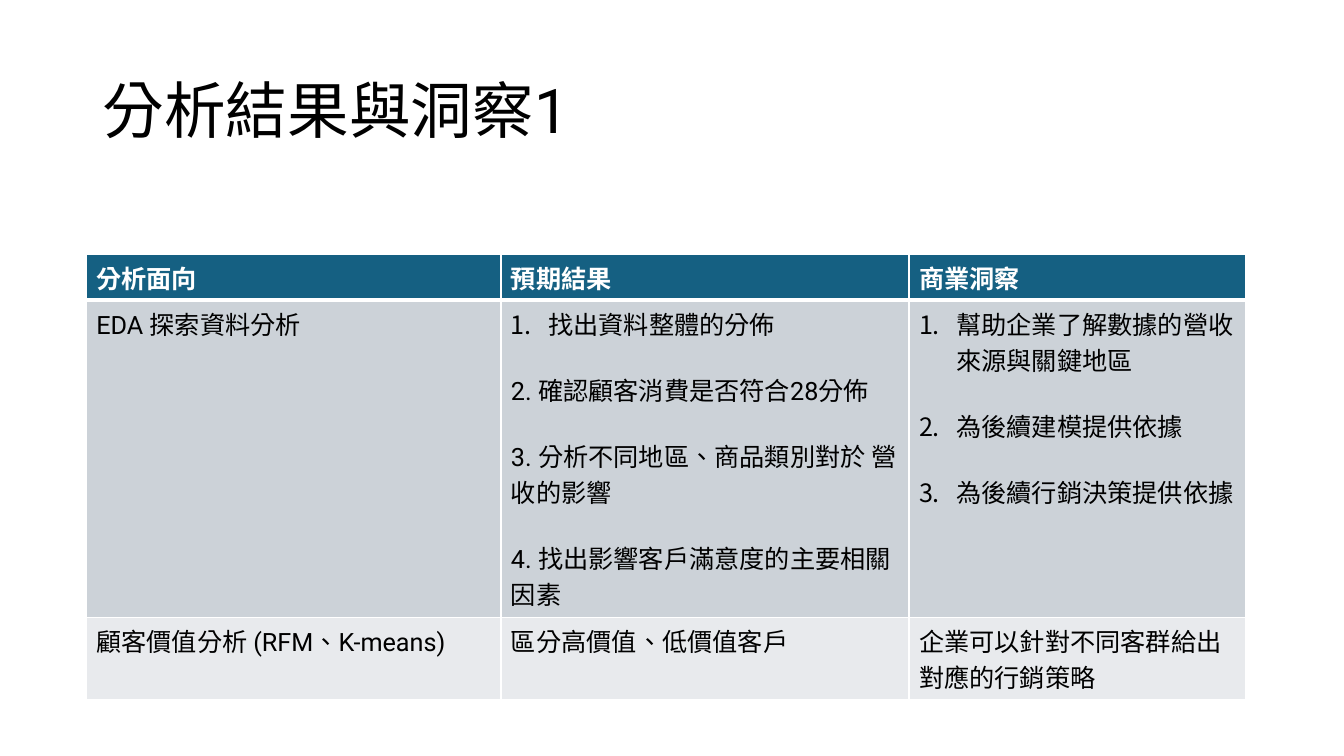
import pptx
import pptx.util
import pptx.dml.color
import pptx.enum.text
import pptx.oxml.ns
import lxml.etree

WIDTH = pptx.util.Inches(13.33)
HEIGHT = pptx.util.Inches(7.5)
FONT = "Roboto"
LANGUAGE = "zh-TW"
COLORS = {"ink": "000000", "white": "FFFFFF", "header": "156082",
          "first": "CCD2D8", "second": "E8EAED"}
TITLE_FORMAT = {"size": pptx.util.Pt(44), "bold": False}
HEADER_FORMAT = {"size": pptx.util.Pt(18), "bold": True}
BODY_FORMAT = {"size": pptx.util.Pt(18), "bold": False}
ITEM_GAP = pptx.util.Pt(21)
INDENT = pptx.util.Inches(0.37)
HEADER_RULE = pptx.util.Pt(3)

# Grid units: hundredths of the slide's width and height.
COLUMN_WIDTHS = [30.85, 30.36, 25.06]
ROW_HEIGHTS = [6.08, 41.95, 10.98]

HEADERS = ["分析面向", "預期結果", "商業洞察"]
EXPLORATION = [
    ["EDA 探索資料分析"],
    ["找出資料整體的分佈",
     "2. 確認顧客消費是否符合28分佈",
     "3. 分析不同地區、商品類別對於 營收的影響",
     "4. 找出影響客戶滿意度的主要相關因素"],
    ["幫助企業了解數據的營收來源與關鍵地區",
     "為後續建模提供依據",
     "為後續行銷決策提供依據"],
]
CUSTOMER_VALUE = [
    ["顧客價值分析 (RFM、K-means)"],
    ["區分高價值、低價值客戶"],
    ["企業可以針對不同客群給出對應的行銷策略"],
]
NUMBERED_COUNTS = [0, 1, 3]


def across(columns):
    return round(WIDTH * columns / 100)


def down(rows):
    return round(HEIGHT * rows / 100)


def rgb(name):
    return pptx.dml.color.RGBColor.from_string(COLORS[name])


def number_paragraph(para):
    """Give the paragraph an automatic number and a hanging indent."""
    properties = para._p.get_or_add_pPr()
    properties.set("marL", str(INDENT))
    properties.set("indent", str(-INDENT))
    bullet = lxml.etree.SubElement(properties, pptx.oxml.ns.qn("a:buAutoNum"))
    bullet.set("type", "arabicPeriod")


def write(frame, lines, color, format_values, numbered=0):
    """Write one paragraph a line; the first `numbered` ones get numbers."""
    for index, line in enumerate(lines):
        para = frame.add_paragraph() if index else frame.paragraphs[0]
        if index:
            para.space_before = ITEM_GAP
        if index < numbered:
            number_paragraph(para)
        span = para.add_run()
        span.text = line
        span._r.get_or_add_rPr().set("lang", LANGUAGE)
        span.font.name = FONT
        span.font.color.rgb = rgb(color)
        for name, value in format_values.items():
            setattr(span.font, name, value)


def add_title(page, text):
    box = page.shapes.add_textbox(across(6.9), down(5.33),
                                  across(86.25), down(19.33))
    frame = box.text_frame
    frame.word_wrap = True
    frame.vertical_anchor = pptx.enum.text.MSO_ANCHOR.MIDDLE
    write(frame, [text], "ink", TITLE_FORMAT)
    frame.paragraphs[0].line_spacing = 0.9


def fill_cell(cell, lines, fill, color, format_values, numbered=0):
    cell.fill.solid()
    cell.fill.fore_color.rgb = rgb(fill)
    write(cell.text_frame, lines, color, format_values, numbered)


def rule_below(cell):
    """Draw the thick white line under a header cell."""
    qn = pptx.oxml.ns.qn
    line = lxml.etree.Element(qn("a:lnB"), w=str(HEADER_RULE))
    fill = lxml.etree.SubElement(line, qn("a:solidFill"))
    lxml.etree.SubElement(fill, qn("a:srgbClr"), val=COLORS["white"])
    cell._tc.get_or_add_tcPr().insert(0, line)


def add_findings(page):
    table = page.shapes.add_table(
        len(ROW_HEIGHTS), len(COLUMN_WIDTHS), across(6.42), down(33.6),
        across(sum(COLUMN_WIDTHS)), down(sum(ROW_HEIGHTS))).table
    for column, width in zip(table.columns, COLUMN_WIDTHS):
        column.width = across(width)
    for row, height in zip(table.rows, ROW_HEIGHTS):
        row.height = down(height)
    for index, header in enumerate(HEADERS):
        fill_cell(table.cell(0, index), [header], "header", "white",
                  HEADER_FORMAT)
        rule_below(table.cell(0, index))
        fill_cell(table.cell(1, index), EXPLORATION[index], "first", "ink",
                  BODY_FORMAT, NUMBERED_COUNTS[index])
        fill_cell(table.cell(2, index), CUSTOMER_VALUE[index], "second", "ink",
                  BODY_FORMAT)


def main():
    deck = pptx.Presentation()
    deck.slide_width, deck.slide_height = WIDTH, HEIGHT
    page = deck.slides.add_slide(deck.slide_layouts[6])
    add_title(page, "分析結果與洞察1")
    add_findings(page)
    deck.save("out.pptx")


if __name__ == "__main__":
    main()
